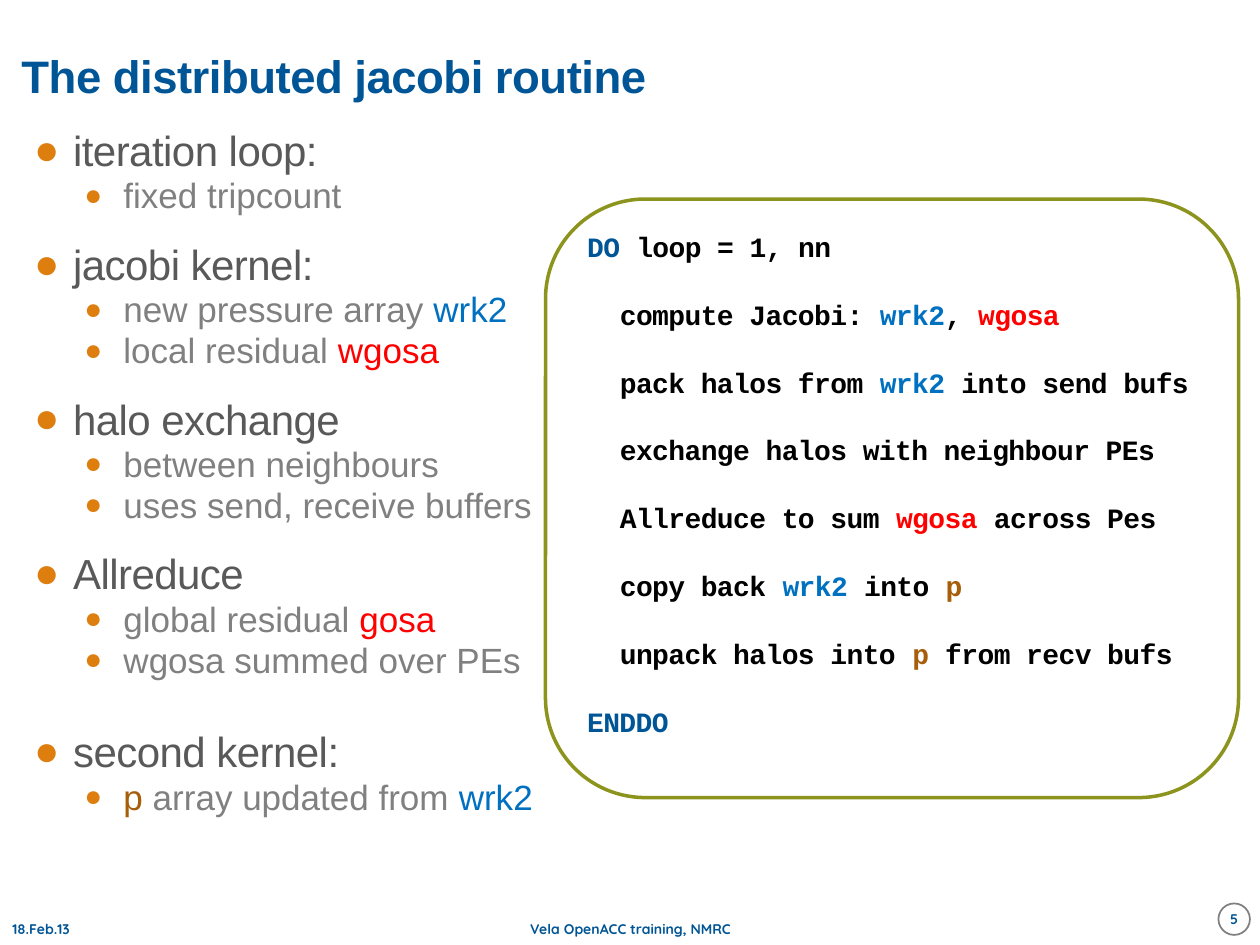
import pptx
import pptx.dml.color
import pptx.enum.shapes
import pptx.enum.text
import pptx.oxml
import pptx.oxml.ns
import pptx.util
from pptx.util import Inches

NAVY, BLUE, RED, BROWN = "005596", "0070C0", "FF0000", "A65E0B"
DARK, GRAY, BLACK, WHITE = "595959", "808080", "000000", "FFFFFF"
ORANGE, OLIVE = "DD7E0E", "8D941E"
ALIGN = pptx.enum.text.PP_ALIGN
MIDDLE = pptx.enum.text.MSO_ANCHOR.MIDDLE
TOP = pptx.enum.text.MSO_ANCHOR.TOP

TOPICS = [
    ("iteration loop:", 1.5, [[("fixed tripcount", GRAY)]]),
    ("jacobi kernel:", 15.6, [
        [("new pressure array ", GRAY), ("wrk2", BLUE)],
        [("local residual ", GRAY), ("wgosa", RED)],
    ]),
    ("halo exchange", 15.6, [
        [("between neighbours", GRAY)],
        [("uses send, receive buffers", GRAY)],
    ]),
    ("Allreduce", 15.6, [
        [("global residual ", GRAY), ("gosa", RED)],
        [("wgosa summed over PEs", GRAY)],
    ]),
    ("second kernel:", 28.8, [
        [("p ", BROWN), ("array updated from ", GRAY), ("wrk2", BLUE)],
    ]),
]

CODE = [
    (0, [("DO", NAVY), (" loop = 1, nn", BLACK)]),
    (1, [("compute Jacobi: ", BLACK), ("wrk2", BLUE), (", ", BLACK), ("wgosa", RED)]),
    (1, [("pack halos from ", BLACK), ("wrk2 ", BLUE), ("into send bufs", BLACK)]),
    (1, [("exchange halos with neighbour PEs", BLACK)]),
    (1, [("Allreduce to sum ", BLACK), ("wgosa", RED), (" across Pes", BLACK)]),
    (1, [("copy back ", BLACK), ("wrk2", BLUE), (" into ", BLACK), ("p", BROWN)]),
    (1, [("unpack halos into ", BLACK), ("p", BROWN), (" from recv bufs", BLACK)]),
    (0, [("ENDDO", NAVY)]),
]


def color(value):
    return pptx.dml.color.RGBColor.from_string(value)


def place(shape, box):
    shape.left, shape.top, shape.width, shape.height = map(Inches, box)


def prepare_frame(shape, anchor, inset=None):
    frame = shape.text_frame
    frame.word_wrap = True
    frame.auto_size = pptx.enum.text.MSO_AUTO_SIZE.NONE
    frame.vertical_anchor = anchor
    if inset is not None:
        frame.margin_left = frame.margin_right = Inches(inset)
        frame.margin_top = frame.margin_bottom = Inches(inset)
    return frame


def next_paragraph(frame):
    first = frame.paragraphs[0]
    return frame.add_paragraph() if first.runs else first


def write_runs(paragraph, parts, size, font, bold=False, spacing=0):
    for text, text_color in parts:
        run = paragraph.add_run()
        run.text = text
        run.font.size = pptx.util.Pt(size)
        run.font.name = font
        run.font.bold = bold
        run.font.color.rgb = color(text_color)
        run.font._element.set("spc", str(spacing))


def space_paragraph(paragraph, before=1.5):
    paragraph.alignment = ALIGN.LEFT
    paragraph.line_spacing = 0.85
    paragraph.space_before = pptx.util.Pt(before)
    paragraph.space_after = pptx.util.Pt(1.5)


def indent_paragraph(paragraph, left, first):
    properties = paragraph._p.get_or_add_pPr()
    properties.set("marL", str(Inches(left)))
    properties.set("indent", str(Inches(first)))
    return properties


def add_bullet(paragraph, left, percent):
    properties = indent_paragraph(paragraph, left, -0.31)
    namespace = pptx.oxml.ns.nsdecls("a")
    for xml in (
        f'<a:buClr {namespace}><a:srgbClr val="{ORANGE}"/></a:buClr>',
        f'<a:buSzPct {namespace} val="{percent * 1000}"/>',
        f'<a:buFont {namespace} typeface="Arial"/>',
        f'<a:buChar {namespace} char="●"/>',
    ):
        properties.append(pptx.oxml.parse_xml(xml))


def add_panel(slide, kind, box, line_color, line_width):
    shape = slide.shapes.add_shape(kind, *map(Inches, box))
    shape.shadow.inherit = False
    shape.fill.solid()
    shape.fill.fore_color.rgb = color(WHITE)
    shape.line.color.rgb = color(line_color)
    shape.line.width = pptx.util.Pt(line_width)
    return shape


def fill_title(slide, box):
    title = slide.shapes.title
    place(title, box)
    paragraph = prepare_frame(title, MIDDLE, 0).paragraphs[0]
    paragraph.alignment = ALIGN.LEFT
    paragraph.line_spacing = 0.85
    write_runs(paragraph, [("The distributed jacobi routine", NAVY)], 26, "Arial", True, -30)


def fill_topics(slide, box):
    body = slide.placeholders[1]
    place(body, box)
    frame = prepare_frame(body, TOP)
    for heading, before, details in TOPICS:
        paragraph = next_paragraph(frame)
        space_paragraph(paragraph, before)
        add_bullet(paragraph, 0.31, 100)
        write_runs(paragraph, [(heading, DARK)], 24, "Arial", spacing=-30)
        for parts in details:
            paragraph = next_paragraph(frame)
            paragraph.level = 1
            space_paragraph(paragraph)
            add_bullet(paragraph, 0.71, 85)
            write_runs(paragraph, parts, 20, "Arial")


def add_code(slide, box):
    kind = pptx.enum.shapes.MSO_SHAPE.ROUNDED_RECTANGLE
    frame = prepare_frame(add_panel(slide, kind, box, OLIVE, 2), TOP)
    for index, (level, parts) in enumerate(CODE):
        paragraph = next_paragraph(frame)
        space_paragraph(paragraph, 21 if index else 1.5)
        indent_paragraph(paragraph, 0.26 * level, 0)
        write_runs(paragraph, parts, 16, "Courier New", True, -30)


def write_small_label(shape, text, alignment, inset=None):
    paragraph = prepare_frame(shape, MIDDLE, inset).paragraphs[0]
    paragraph.alignment = alignment
    write_runs(paragraph, [(text, NAVY)], 8, "Quicksand", True)


def add_footer(slide, box):
    left, top, width, height = box
    for text, offset, label_width, alignment in (
        ("18.Feb.13", 0, 2.33, ALIGN.LEFT),
        ("Vela OpenACC training, NMRC", 3.42, 3.17, ALIGN.CENTER),
    ):
        label_box = (left + offset, top + 0.08, label_width, 0.25)
        label = slide.shapes.add_textbox(*map(Inches, label_box))
        write_small_label(label, text, alignment)
    number_box = (left + width - 0.33, top, 0.25, 0.25)
    number = add_panel(slide, pptx.enum.shapes.MSO_SHAPE.OVAL, number_box, GRAY, 1)
    write_small_label(number, "5", ALIGN.CENTER, 0)


def main():
    presentation = pptx.Presentation()
    presentation.slide_width = Inches(10)
    presentation.slide_height = Inches(7.5)
    slide = presentation.slides.add_slide(presentation.slide_layouts[1])
    fill_title(slide, (0.17, 0.17, 8, 0.92))
    fill_topics(slide, (0.17, 1, 4.17, 6.08))
    add_code(slide, (4.33, 1.58, 5.5, 4.75))
    add_footer(slide, (0, 7.17, 10, 0.33))
    presentation.save("out.pptx")


if __name__ == "__main__":
    main()
